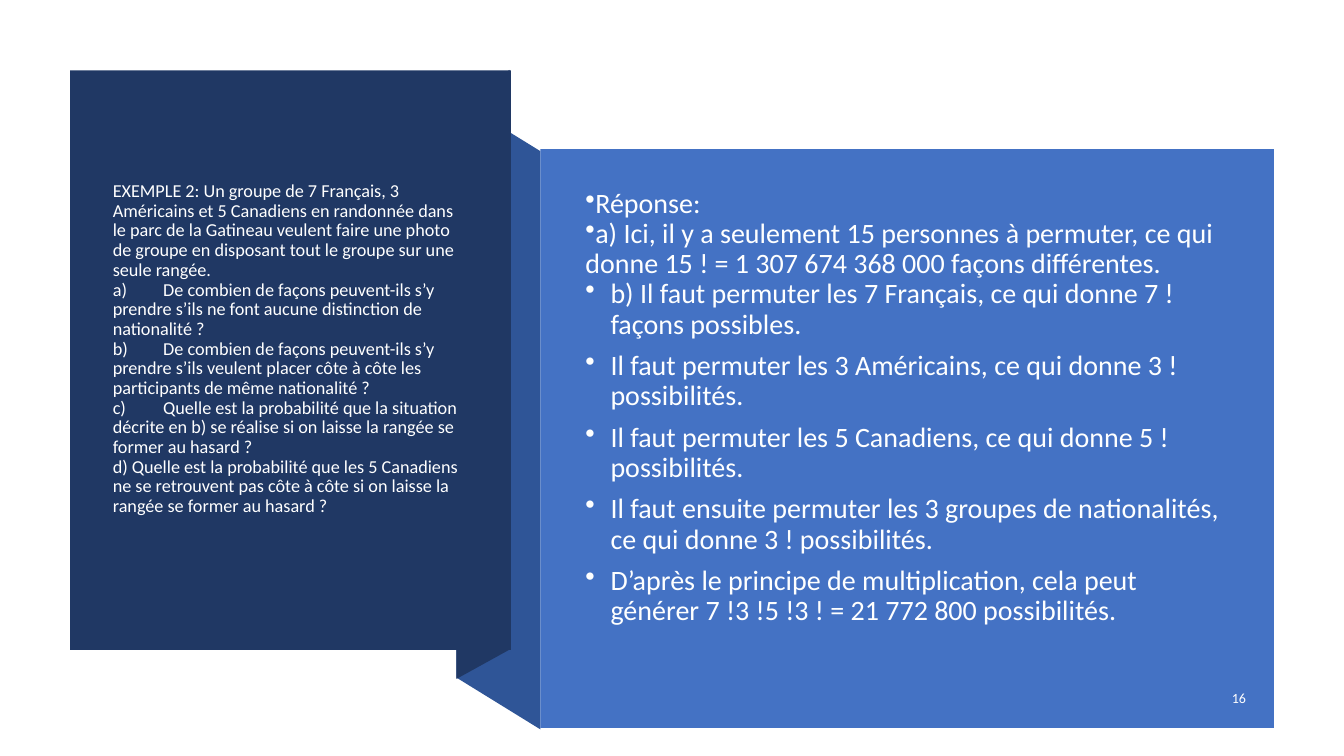
"""Build the slide of a worked permutation example: question at left, answer at right."""
from dataclasses import dataclass

import lxml.etree
import pptx
import pptx.dml.color
import pptx.enum.shapes
import pptx.enum.text
import pptx.oxml.ns
import pptx.util

Pt = pptx.util.Pt
Align = pptx.enum.text.PP_ALIGN
FONT = "Calibri"
COLORS = {
    "navy": "203864",
    "fold": "2F5597",
    "blue": "4472C4",
    "white": "FFFFFF",
    "answer": "FEFFFF",
}


@dataclass(frozen=True)
class Fold:
    color: str
    points: tuple[tuple[float, float], ...]


@dataclass(frozen=True)
class Panel:
    color: str
    box: tuple[float, float, float, float]


@dataclass(frozen=True)
class Para:
    text: str
    margin: float = 0
    after: float = 0


SHAPES = [
    Fold("fold", ((386, 520.6), (326.2, 483.8), (326.2, 71.3), (386, 108))),
    Fold("navy", ((364.4, 463.7), (326.2, 484.6), (326.2, 70.6), (364.4, 49.7))),
    Panel("navy", (50, 50.2, 315, 414)),
    Panel("blue", (386, 106.6, 524, 413.3)),
]

QUESTION = [
    Para("EXEMPLE 2: Un groupe de 7 Français, 3 Américains et 5 Canadiens en randonnée dans le parc "
         "de la Gatineau veulent faire une photo de groupe en disposant tout le groupe sur une seule rangée."),
    Para("a)\tDe combien de façons peuvent-ils s’y prendre s’ils ne font aucune distinction de nationalité ?"),
    Para("b)\tDe combien de façons peuvent-ils s’y prendre s’ils veulent placer côte à côte "
         "les participants de même nationalité ?"),
    Para("c)\tQuelle est la probabilité que la situation décrite en b) se réalise "
         "si on laisse la rangée se former au hasard ?"),
    Para("d) Quelle est la probabilité que les 5 Canadiens ne se retrouvent pas côte à côte "
         "si on laisse la rangée se former au hasard ?"),
]

ANSWER = [
    Para("Réponse:"),
    Para("a) Ici, il y a seulement 15 personnes à permuter, ce qui donne "
         "15 ! = 1 307 674 368 000 façons différentes."),
    Para("b) Il faut permuter les 7 Français, ce qui donne 7 ! façons possibles.", 18, 8),
    Para("Il faut permuter les 3 Américains, ce qui donne 3 ! possibilités.", 18, 8),
    Para("Il faut permuter les 5 Canadiens, ce qui donne 5 ! possibilités.", 18, 8),
    Para("Il faut ensuite permuter les 3 groupes de nationalités, ce qui donne 3 ! possibilités.", 18, 8),
    Para("D’après le principe de multiplication, cela peut générer "
         "7 !3 !5 !3 ! = 21 772 800 possibilités.", 18, 8),
]


def rgb(name: str) -> pptx.dml.color.RGBColor:
    """Return the named colour."""
    return pptx.dml.color.RGBColor.from_string(COLORS[name])


def draw(slide, item: Fold | Panel) -> None:
    """Draw a fold of the ribbon or a flat panel without outline."""
    if isinstance(item, Fold):
        builder = slide.shapes.build_freeform(*item.points[0], scale=Pt(1))
        builder.add_line_segments(item.points[1:], close=True)
        sp = builder.convert_to_shape()
    else:
        sp = slide.shapes.add_shape(
            pptx.enum.shapes.MSO_SHAPE.RECTANGLE, *map(Pt, item.box))
    sp.shadow.inherit = False
    sp.fill.solid()
    sp.fill.fore_color.rgb = rgb(item.color)
    sp.line.fill.background()


def add_bullet(p, margin: float) -> None:
    """Give a paragraph a hanging round bullet."""
    pPr = p._p.get_or_add_pPr()
    pPr.set("marL", str(Pt(margin)))
    pPr.set("indent", str(Pt(-18)))
    bullet = lxml.etree.SubElement(pPr, pptx.oxml.ns.qn("a:buChar"))
    bullet.set("char", "•")


def add_text(slide, paras: list[Para], *, box: tuple[float, float, float, float],
             size: float, color: str = "white", bullets: bool = False,
             spacing: float = 0.9, bottom: float = 3.6,
             align: Align = Align.LEFT) -> None:
    """Add a vertically centred text box."""
    tf = slide.shapes.add_textbox(*map(Pt, box)).text_frame
    tf.word_wrap = True
    tf.vertical_anchor = pptx.enum.text.MSO_ANCHOR.MIDDLE
    tf.margin_bottom = Pt(bottom)
    for i, para in enumerate(paras):
        p = tf.add_paragraph() if i else tf.paragraphs[0]
        if bullets:
            add_bullet(p, para.margin)
        p.alignment = align
        p.line_spacing = spacing
        p.space_after = Pt(para.after)
        r = p.add_run()
        r.text = para.text
        r.font.name = FONT
        r.font.size = Pt(size)
        r.font.color.rgb = rgb(color)


def main() -> None:
    """Build and save the slide."""
    prs = pptx.Presentation()
    prs.slide_width, prs.slide_height = Pt(960), Pt(540)
    slide = prs.slides.add_slide(prs.slide_layouts[6])
    for item in SHAPES:
        draw(slide, item)
    add_text(slide, QUESTION, box=(73.5, 77, 267, 359.3), size=13, bottom=18)
    add_text(slide, ANSWER, box=(411, 135.4, 468.7, 341.3), size=20,
             color="answer", bullets=True, bottom=33)
    add_text(slide, [Para("16")], box=(843, 486, 54, 25.2), size=10,
             spacing=1.0, align=Align.RIGHT)
    prs.save("out.pptx")


if __name__ == "__main__":
    main()
